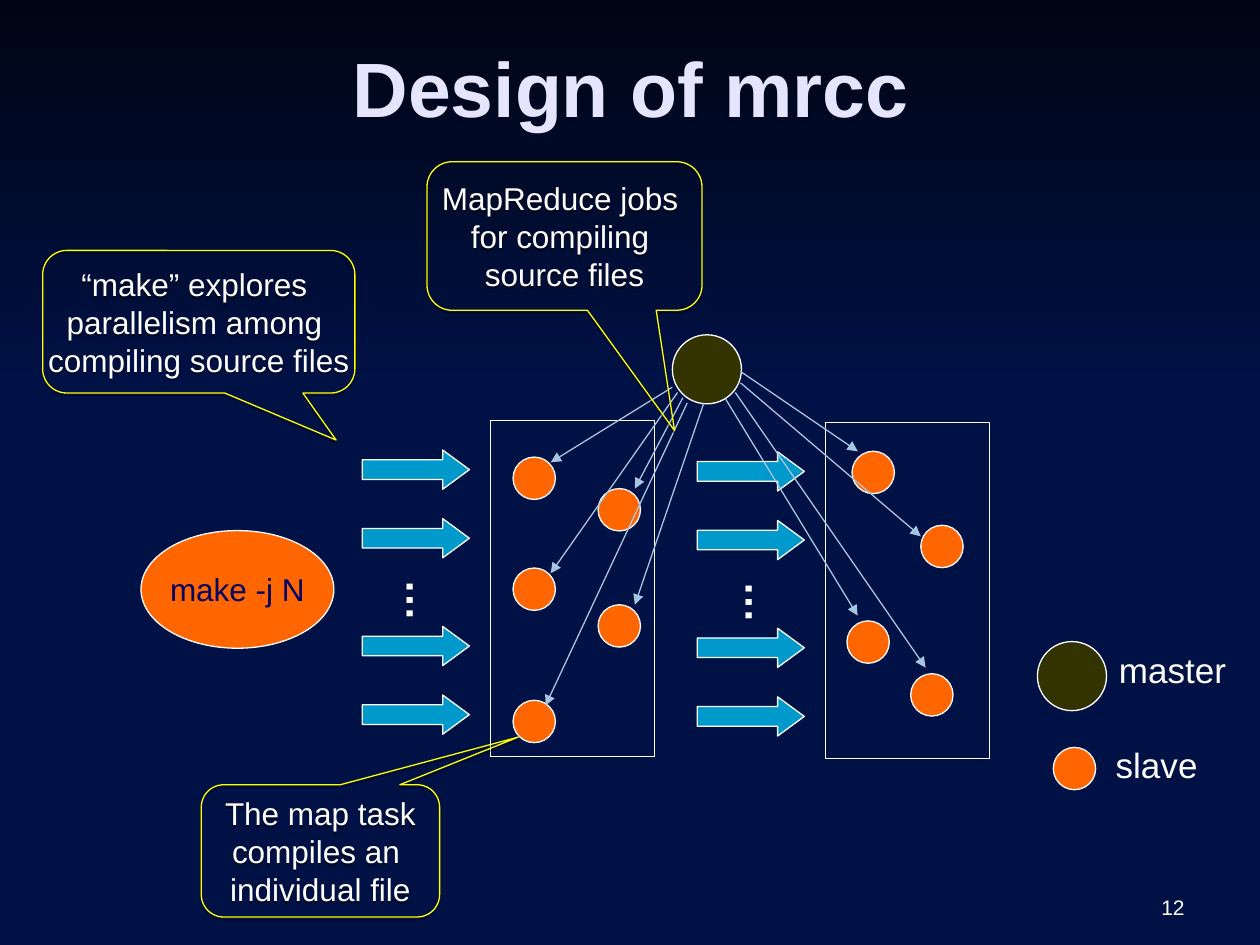
from pptx import Presentation
from pptx.dml.color import RGBColor
from pptx.enum.shapes import MSO_CONNECTOR, MSO_SHAPE
from pptx.enum.text import MSO_ANCHOR, PP_ALIGN
from pptx.oxml import parse_xml
from pptx.oxml.ns import nsdecls, qn
from pptx.util import Pt

NAVY = RGBColor(0x00, 0x11, 0x45)
NIGHT = RGBColor(0x00, 0x05, 0x14)
PALE = RGBColor(0xE5, 0xE5, 0xFF)
WHITE = RGBColor(0xFF, 0xFF, 0xFF)
ORANGE = RGBColor(0xFF, 0x66, 0x00)
INK = RGBColor(0x00, 0x00, 0x66)
BLUE = RGBColor(0x00, 0x99, 0xCC)
OLIVE = RGBColor(0x33, 0x33, 0x00)
STEEL = RGBColor(0xA5, 0xC6, 0xDE)
YELLOW = RGBColor(0xFF, 0xFF, 0x00)

MASTER, SLAVE = 39.5, 24.2  # circle diameters
PANEL = (94, 192)
HUB = (384.2, 191.3)
ARROW = (61.2, 22.4)

# Each slave: place in its panel, arrow tip from the slave, arrow root from the hub
LEFT = [
    ((13, 20.8), (21.5, 3), (0, 30)),
    ((61.6, 38.8), (21, 0), (6, 36)),
    ((13, 84.2), (21.5, 3), (3, 33)),
    ((61.6, 105.2), (21, 0), (18, 39)),
    ((13, 159.8), (18.5, 3), (8.5, 39)),
]
RIGHT = [
    ((15.3, 16.5), (3.3, 0), (39, 21)),
    ((54.6, 58.8), (0, 6.3), (39, 27.5)),
    ((12.4, 113.4), (6.1, -3), (30, 36)),
    ((48.8, 143.6), (8.5, -3.5), (36, 33)),
]


def pts(*values):
    return [Pt(v) for v in values]


def style(item, **values):
    for name, value in values.items():
        setattr(item, name, value)


def write(frame, lines, size, color, align, bold=False):
    for i, line in enumerate(lines):
        para = frame.paragraphs[0] if i == 0 else frame.add_paragraph()
        para.alignment = align
        run = para.add_run()
        run.text = line
        style(run.font, name="Arial", size=Pt(size), bold=bold)
        run.font.color.rgb = color


def shape(slide, kind, box, fill=None, line=WHITE, adjust=()):
    item = slide.shapes.add_shape(kind, *pts(*box))
    item.shadow.inherit = False
    if fill is None:
        item.fill.background()
    else:
        item.fill.solid()
        item.fill.fore_color.rgb = fill
    item.line.color.rgb = line
    item.line.width = Pt(0.75)
    for i, value in enumerate(adjust):
        item.adjustments[i] = value
    return item


def label(slide, box, text, size, align, anchor=MSO_ANCHOR.TOP, bold=False):
    item = slide.shapes.add_textbox(*pts(*box))
    style(item.text_frame, word_wrap=True, vertical_anchor=anchor)
    write(item.text_frame, [text], size, WHITE, align, bold)
    return item


def circle(slide, x, y, size, fill):
    return shape(slide, MSO_SHAPE.OVAL, (x, y, size, size), fill)


def backdrop(slide, box):
    """Navy ground with a darker band, placed behind the title."""
    slide.background.fill.solid()
    slide.background.fill.fore_color.rgb = NAVY
    band = shape(slide, MSO_SHAPE.RECTANGLE, box)
    band.line.fill.background()
    band.fill.gradient()
    band.fill.gradient_angle = 270
    for stop, color in zip(band.fill.gradient_stops, (NIGHT, NAVY)):
        stop.color.rgb = color
    slide.shapes.title._element.addprevious(band._element)


def heading(slide, box, text):
    title = slide.shapes.title
    names = ("left", "top", "width", "height")
    style(title, **dict(zip(names, pts(*box))))
    title.text_frame.vertical_anchor = MSO_ANCHOR.MIDDLE
    write(title.text_frame, [text], 44, PALE, PP_ALIGN.CENTER, True)


def source(slide, box, text):
    """The oval that starts the build."""
    oval = shape(slide, MSO_SHAPE.OVAL, box, ORANGE)
    style(oval.text_frame, word_wrap=False, vertical_anchor=MSO_ANCHOR.MIDDLE)
    write(oval.text_frame, [text], 18, INK, PP_ALIGN.CENTER)


def stream(slide, x, y, shift):
    """Two pairs of block arrows with a vertical ellipsis between them."""
    for pair in (0, 100.8):
        for step in (0, 39.2):
            shape(slide, MSO_SHAPE.RIGHT_ARROW, (x, y + pair + step, *ARROW),
                  BLUE, adjust=(0.5, 0.68))
    dots = label(slide, (x + shift, y + 67, 43.2, 16), "…", 24,
                 PP_ALIGN.LEFT, bold=True)
    style(dots.text_frame, margin_left=Pt(3.6), margin_right=Pt(3.6),
          margin_top=Pt(7.2), margin_bottom=Pt(7.2))
    dots.text_frame._txBody.bodyPr.set("vert", "eaVert")


def panel(slide, x, y, slaves):
    shape(slide, MSO_SHAPE.RECTANGLE, (x, y, *PANEL))
    for (dx, dy), _, _ in slaves:
        circle(slide, x + dx, y + dy, SLAVE, ORANGE)


def spokes(slide, x, y, slaves):
    """Arrows from the hub to the slaves of the panel at x, y."""
    for spot, tip, root in slaves:
        start = [a + b for a, b in zip(HUB, root)]
        end = [a + b + c for a, b, c in zip((x, y), spot, tip)]
        spoke = slide.shapes.add_connector(
            MSO_CONNECTOR.STRAIGHT, *pts(*start, *end))
        spoke.line.color.rgb = STEEL
        spoke.line.width = Pt(0.75)
        spoke.line._get_or_add_ln().append(
            parse_xml(f'<a:tailEnd {nsdecls("a")} type="triangle"/>'))
        spoke._element.spPr.append(
            parse_xml(f'<a:effectLst {nsdecls("a")}/>'))


def legend(slide, x, y):
    circle(slide, x, y, MASTER, OLIVE)
    circle(slide, x + 9.1, y + 60.5, SLAVE, ORANGE)
    for dx, dy, text in ((39.4, 0.2, "master"), (30.3, 54.7, "slave")):
        label(slide, (x + dx, y + dy, 75.6, 31.7), text, 20, PP_ALIGN.CENTER)


def callout(slide, box, tip, lines):
    item = shape(slide, MSO_SHAPE.ROUNDED_RECTANGULAR_CALLOUT, box,
                 line=YELLOW, adjust=(*tip, 0.17))
    item._element.spPr.find(qn("a:effectLst")).append(parse_xml(
        f'<a:outerShdw {nsdecls("a")} dist="20000" dir="5400000" '
        'rotWithShape="0"><a:srgbClr val="000000"><a:alpha val="38000"/>'
        '</a:srgbClr></a:outerShdw>'))
    style(item.text_frame, word_wrap=False, vertical_anchor=MSO_ANCHOR.MIDDLE)
    write(item.text_frame, lines, 18, WHITE, PP_ALIGN.CENTER)


def main():
    deck = Presentation()
    style(deck, slide_width=Pt(720), slide_height=Pt(540))
    slide = deck.slides.add_slide(deck.slide_layouts[5])
    backdrop(slide, (0, 0, 720, 222))
    heading(slide, (36.5, 13, 648, 73), "Design of mrcc")
    label(slide, (516, 492, 168, 37.2), "12", 12, PP_ALIGN.RIGHT,
          MSO_ANCHOR.BOTTOM)
    source(slide, (80.6, 303.2, 110.2, 67.2), "make -j N")
    stream(slide, 207, 257.2, 7)
    stream(slide, 398.4, 258.2, 9.3)
    sides = ((280.2, 240.4, LEFT), (471.6, 241.4, RIGHT))
    for side in sides:
        panel(slide, *side)
    circle(slide, *HUB, MASTER, OLIVE)
    for side in sides:
        spokes(slide, *side)
    legend(slide, 592.8, 366.6)
    callout(slide, (24.4, 143.1, 178.4, 81.5), (0.44, 0.83),
            ["“make” explores ", "parallelism among ",
             "compiling source files"])
    callout(slide, (244, 92.4, 157.2, 84.9), (0.4, 1.31),
            ["MapReduce jobs ", "for compiling ", "source files"])
    callout(slide, (115, 448.4, 136.2, 75.6), (0.83, -0.86),
            ["The map task", "compiles an ", "individual file"])
    deck.save("out.pptx")


if __name__ == "__main__":
    main()
